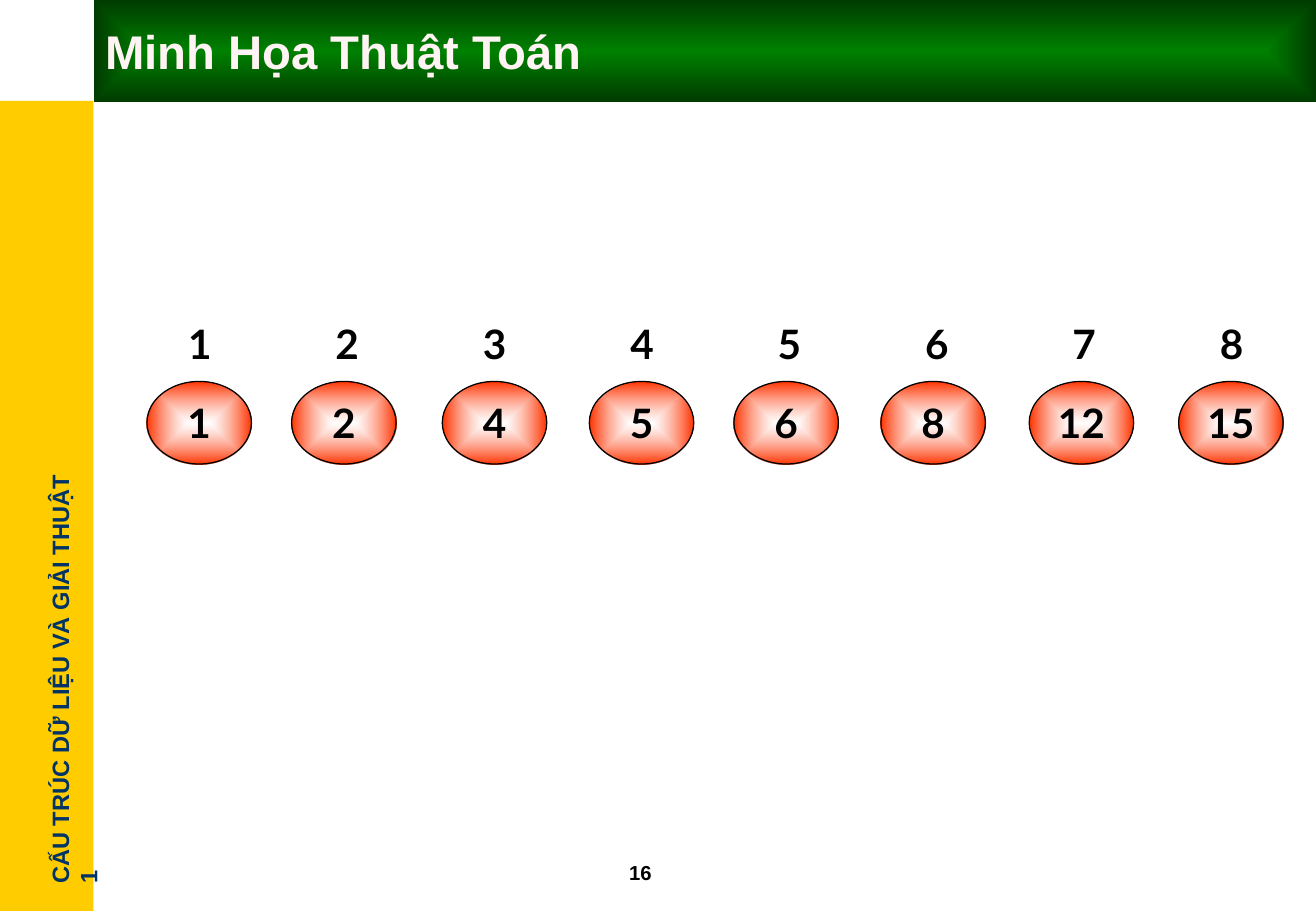
from lxml.etree import SubElement
from pptx import Presentation
from pptx.dml.color import RGBColor
from pptx.enum.shapes import MSO_SHAPE as Shape
from pptx.enum.text import MSO_ANCHOR as Anchor, PP_ALIGN as Align
from pptx.oxml.ns import qn
from pptx.util import Inches, Pt


def write(shape, text, size, color="000000", font="Arial", align=Align.LEFT,
          anchor=Anchor.TOP, wrap=True):
    frame = shape.text_frame
    frame.word_wrap, frame.vertical_anchor = wrap, anchor
    paragraph = frame.paragraphs[0]
    paragraph.text, paragraph.alignment = text, align
    paragraph.font.name, paragraph.font.size = font, Pt(size)
    paragraph.font.bold = True
    paragraph.font.color.rgb = RGBColor.from_string(color)


def fill_from_center(shape, inner, outer, inner_opacity=100):
    """Fill with a gradient that spreads from the middle to the edges."""
    shape.shadow.inherit = False
    shape.fill.gradient()
    gradient = shape._element.spPr.find(qn("a:gradFill"))
    for child in list(gradient):
        gradient.remove(child)
    stops = SubElement(gradient, qn("a:gsLst"))
    for position, color, opacity in ((0, inner, inner_opacity), (100, outer, 100)):
        stop = SubElement(stops, qn("a:gs"), pos=str(position * 1000))
        stop_color = SubElement(stop, qn("a:srgbClr"), val=color)
        if opacity < 100:
            SubElement(stop_color, qn("a:alpha"), val=str(opacity * 1000))
    spread = SubElement(gradient, qn("a:path"), path="shape")
    SubElement(spread, qn("a:fillToRect"),
               {side: "50000" for side in ("l", "t", "r", "b")})


WIDTH, HEIGHT = Inches(10.83), Inches(7.5)
SIDEBAR, HEADER = Inches(0.77), Inches(0.84)

prs = Presentation()
prs.slide_width, prs.slide_height = WIDTH, HEIGHT
shapes = prs.slides.add_slide(prs.slide_layouts[6]).shapes

sidebar = shapes.add_shape(Shape.RECTANGLE, 0, Inches(0.83), SIDEBAR, HEIGHT - Inches(0.83))
sidebar.shadow.inherit = False
sidebar.fill.solid()
sidebar.fill.fore_color.rgb = RGBColor.from_string("FFCC00")
sidebar.line.fill.background()

course = shapes.add_textbox(Inches(-1.37), Inches(5.35), Inches(3.72), Inches(0.33))
course.rotation = 270
write(course, "CẤU TRÚC DỮ LIỆU VÀ GIẢI THUẬT 1", 14, "003366")

page_number = shapes.add_textbox(Inches(5.08), Inches(7.03), Inches(0.83), Inches(0.3))
write(page_number, "16", 12)

title = shapes.add_shape(Shape.RECTANGLE, SIDEBAR, 0, WIDTH - SIDEBAR, HEADER)
fill_from_center(title, "008000", "003B00")
title.line.fill.background()
write(title, "Minh Họa Thuật Toán", 28, "FFF3F3", anchor=Anchor.MIDDLE)

# Sorted array: one circle per value, its index above it
ARRAY_LEFT, PITCH = 1.21, 1.213
values = [1, 2, 4, 5, 6, 8, 12, 15]
value_lefts = [1.21, 2.4, 3.64, 4.85, 6.04, 7.25, 8.47, 9.7]
number_style = dict(size=24, font="Lato", align=Align.CENTER,
                    anchor=Anchor.MIDDLE, wrap=False)
indexes = shapes.add_group_shape().shapes

for column, (value, left) in enumerate(zip(values, value_lefts)):
    node = shapes.add_shape(Shape.OVAL, Inches(left), Inches(3.14), Inches(0.86), Inches(0.68))
    fill_from_center(node, "FFFFFF", "FF3300", inner_opacity=60)
    node.line.color.rgb = RGBColor.from_string("000000")
    node.line.width = Pt(0.75)
    write(node, str(value), **number_style)

    index = indexes.add_shape(Shape.OVAL, Inches(ARRAY_LEFT + column * PITCH), Inches(2.5),
                              Inches(0.87), Inches(0.66))
    index.shadow.inherit = False
    index.fill.background()
    index.line.fill.background()
    write(index, str(column + 1), **number_style)

prs.save("out.pptx")
